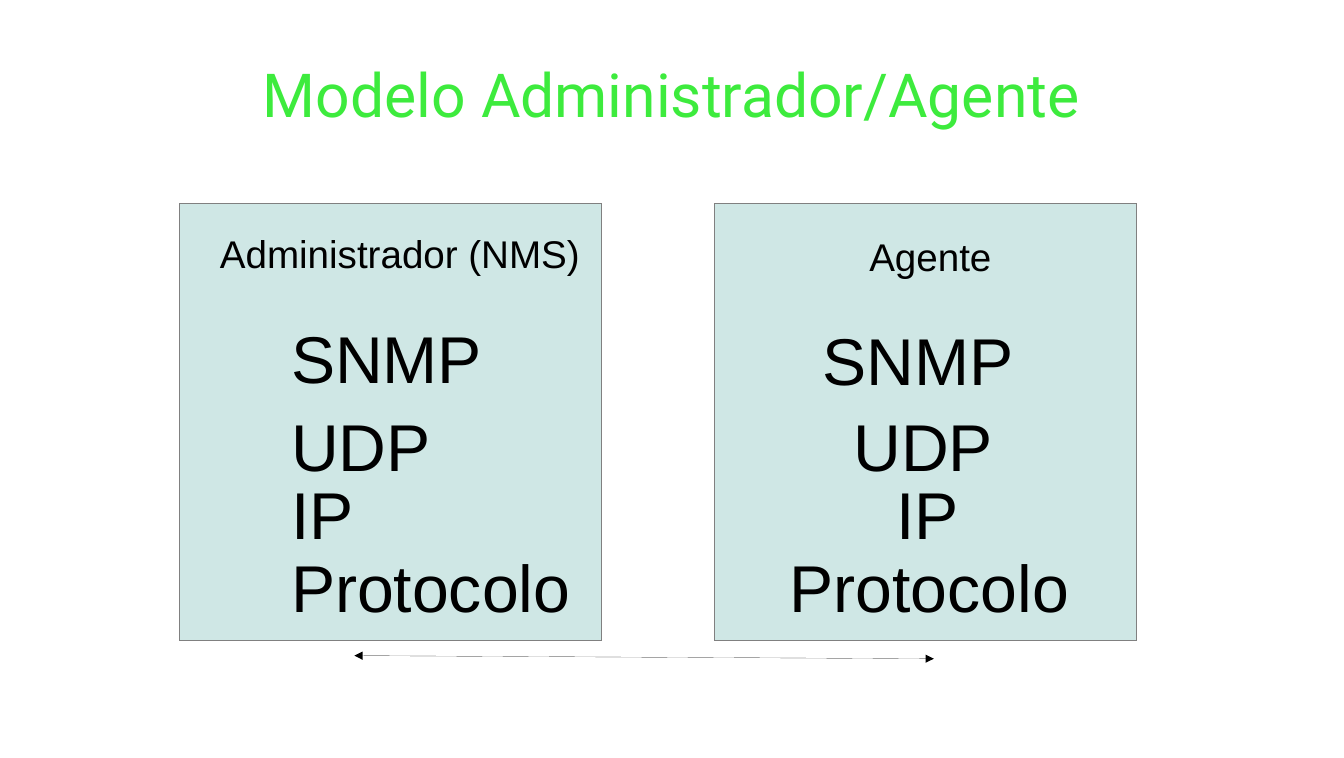
"""Build the manager/agent model slide."""
import pptx
import pptx.util
import pptx.dml.color
import pptx.enum.shapes
import pptx.enum.text
import pptx.oxml.ns
from lxml import etree
from pptx.util import Cm, Pt


def tint(code):
    return pptx.dml.color.RGBColor.from_string(code)


def write(frame, text, size, face, color):
    para = frame.paragraphs[0]
    para.text = text
    para.font.size = Pt(size)
    para.font.name = face
    para.font.color.rgb = tint(color)
    return para


deck = pptx.Presentation()
deck.slide_width, deck.slide_height = Cm(34.4), Cm(19.4)
slide = deck.slides.add_slide(deck.slide_layouts[5])
shapes = slide.shapes

title = shapes.title
title.left, title.top, title.width, title.height = Cm(1.72), Cm(0.76), Cm(30.96), Cm(3.23)
frame = title.text_frame
frame.margin_left = frame.margin_right = frame.margin_top = frame.margin_bottom = 0
frame.vertical_anchor = pptx.enum.text.MSO_ANCHOR.MIDDLE
head = write(frame, "Modelo Administrador/Agente", 44, "Roboto", "3DEB3D")
head.alignment = pptx.enum.text.PP_ALIGN.CENTER

for left in (4.6, 18.29):
    panel = shapes.add_shape(pptx.enum.shapes.MSO_SHAPE.RECTANGLE,
                             Cm(left), Cm(5.2), Cm(10.8), Cm(11.2))
    panel.shadow.inherit = False
    panel.fill.solid()
    panel.fill.fore_color.rgb = tint("CFE7E5")
    panel.line.color.rgb = tint("808080")
    panel.line._get_or_add_ln().set("w", "0")

labels = [
    ("Administrador (NMS)", 28, 5.38, 5.75, 9.78),
    ("Agente", 28, 22, 5.84, 3.68),
]
layers = [
    ("SNMP", 5.45, (7.2, 8), (20.8, 8.05)),
    ("UDP", 4.15, (7.2, 10.25), (21.59, 10.25)),
    ("IP", 2.16, (7.2, 11.99), (22.7, 11.99)),
    ("Protocolo", 7.72, (7.2, 13.86), (19.96, 13.86)),
]
for name, width, *spots in layers:
    for left, top in spots:
        labels.append((name, 48, left, top, width))

for text, size, left, top, width in labels:
    high = 1.35 if size == 28 else 2.13
    box = shapes.add_textbox(Cm(left), Cm(top), Cm(width), Cm(high))
    box.text_frame.word_wrap = False
    box.text_frame.auto_size = pptx.enum.text.MSO_AUTO_SIZE.SHAPE_TO_FIT_TEXT
    write(box.text_frame, text, size, "Arial", "000000")

link = shapes.add_connector(pptx.enum.shapes.MSO_CONNECTOR.STRAIGHT,
                            Cm(9.07), Cm(16.78), Cm(23.9), Cm(16.86))
link.line.color.rgb = tint("000000")
edge = link.line._get_or_add_ln()
edge.set("w", "0")
for end in ("a:headEnd", "a:tailEnd"):
    etree.SubElement(edge, pptx.oxml.ns.qn(end), type="triangle")
etree.SubElement(link._element.spPr, pptx.oxml.ns.qn("a:effectLst"))

deck.save("out.pptx")
